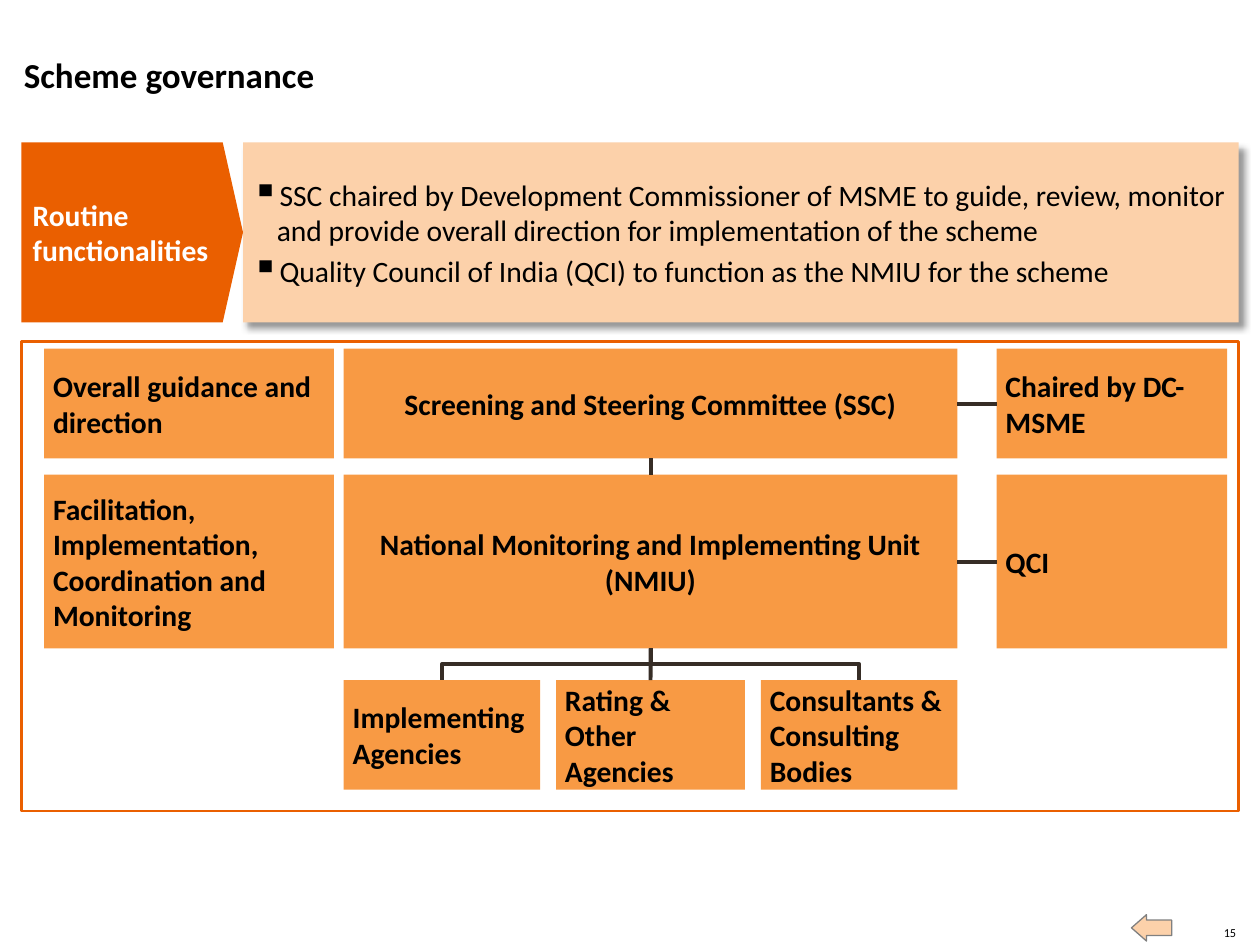
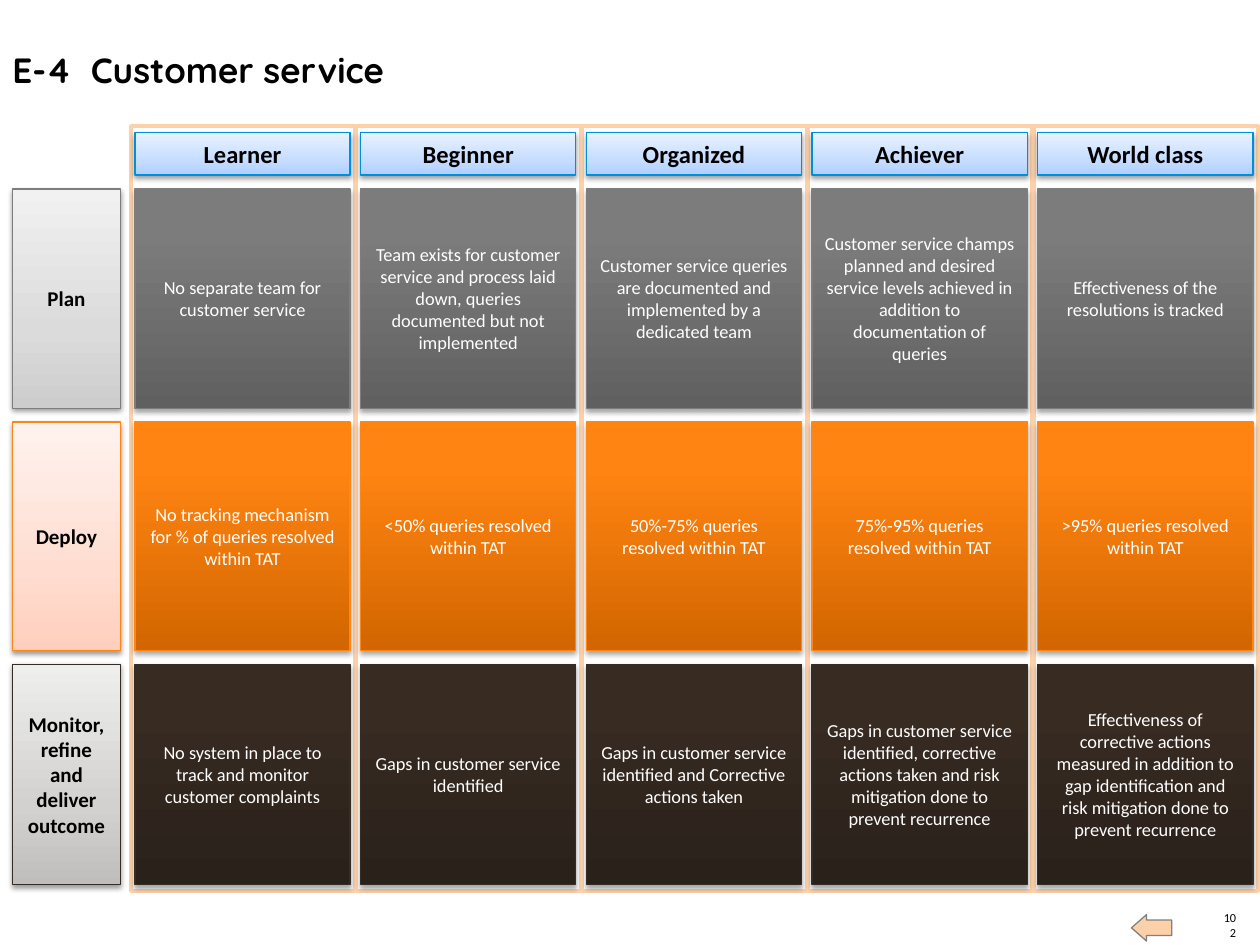
import copy

import pptx
import pptx.dml.color
import pptx.enum.shapes
import pptx.enum.text
import pptx.oxml.ns
import pptx.util
from lxml import etree

Cm = pptx.util.Cm
Pt = pptx.util.Pt
qn = pptx.oxml.ns.qn
SHAPES = pptx.enum.shapes.MSO_SHAPE
CONNECTORS = pptx.enum.shapes.MSO_CONNECTOR
ALIGN = pptx.enum.text.PP_ALIGN
ANCHOR = pptx.enum.text.MSO_ANCHOR

BLACK, WHITE = "000000", "FFFFFF"
PEACH, ORANGE, DEEP_ORANGE = "FCD1AA", "F89A44", "EA5F00"
LINK_COLOUR = "362D26"
BODY_SIZE = 16.9
TOP, LEFT, BOTTOM, RIGHT = range(4)  # connection sites of a rectangle

LABEL_SHADOW = (38, 3.1, 1.6, 90)
CELL_SHADOW = (35, 3.1, 1.8, 90)
LEVELS = ["Learner", "Beginner", "Organized", "Achiever", "World class"]
LEVEL_STOPS = [(0, "AECFFF"), (35, "C6DDFF"), (100, "E9F2FF")]
# Each stage: name, top and height in the grid, line, label stops, cell stops, cells
STAGES = [
    ("Plan", 1.27, 4.42, "7D7D7D",
     [(0, "CDCDCD"), (35, "DBDBDB"), (100, "F1F1F1")],
     [(0, "606060"), (80, "7C7C7C"), (100, "7D7D7D")],
     ["No separate team for customer service",
      "Team exists for customer service and process laid down, queries documented but not implemented",
      "Customer service queries are documented and implemented by a dedicated team",
      "Customer service champs planned and desired service levels achieved in addition to "
      "documentation of queries",
      "Effectiveness of the resolutions is tracked"]),
    ("Deploy", 5.97, 4.6, "FF8615",
     [(0, "FFCFBD"), (35, "FFDDD1"), (100, "FFF2EE")],
     [(0, "D26600"), (80, "FF8412"), (100, "FF8514")],
     ["No tracking mechanism for % of queries resolved within TAT",
      "<50% queries resolved within TAT",
      "50%-75% queries resolved within TAT",
      "75%-95% queries resolved within TAT",
      ">95% queries resolved within TAT"]),
    ("Monitor, refine and deliver outcome", 10.85, 4.44, "352C25",
     [(0, "C0BEBC"), (35, "D3D1D0"), (100, "EEEEED")],
     [(0, "2A211B"), (80, "372B22"), (100, "372B22")],
     ["No system in place to track and monitor customer complaints",
      "Gaps in customer service identified",
      "Gaps in customer service identified and Corrective actions taken",
      "Gaps in customer service identified, corrective actions taken and risk mitigation done "
      "to prevent recurrence",
      "Effectiveness of corrective actions measured in addition to gap identification and risk "
      "mitigation done to prevent recurrence"]),
]


def colour(code):
    return pptx.dml.color.RGBColor.from_string(code)


def lengths(box):
    return [Cm(value) for value in box]


def write(shape, text, size, ink=BLACK, bold=False, align=ALIGN.LEFT, anchor=ANCHOR.MIDDLE,
          margins=None, font="Calibri"):
    """Fill a shape with text; margins are left, top, right, bottom in cm."""
    frame = shape.text_frame
    frame.text = text
    frame.word_wrap = True
    frame.auto_size = pptx.enum.text.MSO_AUTO_SIZE.NONE
    frame.vertical_anchor = anchor
    if margins:
        (frame.margin_left, frame.margin_top,
         frame.margin_right, frame.margin_bottom) = lengths(margins)
    for para in frame.paragraphs:
        para.alignment = align
        for span in para.runs:
            span.font.name = font
            span.font.size = Pt(size)
            span.font.bold = bold
            span.font.color.rgb = colour(ink)


def add_box(page, box, fill, line=None, line_width=0.75, shadow=None, kind=SHAPES.RECTANGLE):
    """Draw a shape; fill is a colour or a list of stops running from bottom to top."""
    shape = page.shapes.add_shape(kind, *lengths(box))
    if isinstance(fill, str):
        shape.fill.solid()
        shape.fill.fore_color.rgb = colour(fill)
    else:
        shape.fill.gradient()
        shape.fill.gradient_angle = 90
        stop_list = shape._element.spPr.find(".//" + qn("a:gsLst"))
        while len(stop_list) < len(fill):
            stop_list.append(copy.deepcopy(stop_list[-1]))
        for stop, (percent, code) in zip(shape.fill.gradient_stops, fill):
            stop.position = percent / 100
            stop.color.rgb = colour(code)
    if line:
        shape.line.color.rgb = colour(line)
        shape.line.width = Pt(line_width)
    else:
        shape.line.fill.background()
    shape.shadow.inherit = False
    if shadow:
        add_shadow(shape, *shadow)
    return shape


def add_shadow(shape, opacity, blur, distance, angle):
    effects = shape._element.spPr.find(qn("a:effectLst"))
    outer = etree.SubElement(effects, qn("a:outerShdw"), blurRad=str(Pt(blur)),
                             dist=str(Pt(distance)), dir=str(angle * 60000), rotWithShape="0")
    ink = etree.SubElement(outer, qn("a:srgbClr"), val=BLACK)
    etree.SubElement(ink, qn("a:alpha"), val=str(opacity * 1000))


def link(page, start, start_site, end, end_site, kind=CONNECTORS.STRAIGHT):
    connector = page.shapes.add_connector(kind, 0, 0, 0, 0)
    connector.begin_connect(start, start_site)
    connector.end_connect(end, end_site)
    connector.line.color.rgb = colour(LINK_COLOUR)
    connector.line.width = Pt(2.25)
    etree.SubElement(connector._element.spPr, qn("a:effectLst"))
    return connector


def link_down(page, parent, child):
    """Join a parent to a child below it with an elbow that leaves vertically."""
    connector = link(page, parent, BOTTOM, child, TOP, CONNECTORS.ELBOW)
    to_left = connector.end_x < connector.begin_x
    centre_x = connector.left + connector.width // 2
    centre_y = connector.top + connector.height // 2
    across, down = connector.width, connector.height
    connector.width, connector.height = down, across
    connector.left, connector.top = centre_x - down // 2, centre_y - across // 2
    frame = connector._element.spPr.find(qn("a:xfrm"))
    frame.set("rot", str((90 if to_left else 270) * 60000))
    frame.set("flipH", "0" if to_left else "1")


def add_page(deck, title, title_box, number, font="Calibri"):
    """Add a title-only slide with its title, return arrow and page number."""
    page = deck.slides.add_slide(deck.slide_layouts[5])
    heading = page.shapes.title
    heading.left, heading.top, heading.width, heading.height = lengths(title_box)
    write(heading, title, 20, bold=True, margins=(0, 0, 0, 0), font=font)
    arrow = add_box(page, (22.81, 18.44, 0.81, 0.53), PEACH, "808080", kind=SHAPES.LEFT_ARROW)
    arrow.adjustments[0], arrow.adjustments[1] = 0.59, 0.57
    label = page.shapes.add_textbox(*lengths((24.61, 18.64, 0.31, 0.31)))
    write(label, number, 7, align=ALIGN.RIGHT, anchor=ANCHOR.BOTTOM, margins=(0, 0, 0, 0))
    return page


def add_functions_band(page, box, heading, points):
    left, top, width, height = box
    tag_width, tip = 4.47, 0.41
    panel = add_box(page, (left + tag_width, top, width - tag_width, height), PEACH,
                    shadow=(40, 4, 4, 45))
    write(panel, "\n".join(points), BODY_SIZE, margins=(0.18,) * 4)
    for index, para in enumerate(panel.text_frame.paragraphs):
        properties = para._p.get_or_add_pPr()
        properties.set("marL", str(Cm(0.5)))
        properties.set("indent", str(-Cm(0.5)))
        ink = etree.SubElement(properties, qn("a:buClr"))
        etree.SubElement(ink, qn("a:srgbClr"), val=BLACK)
        etree.SubElement(properties, qn("a:buSzPct"), val="125000")
        etree.SubElement(properties, qn("a:buChar"), char="▪")
        if index:
            para.space_before = Pt(3)
    tag = add_box(page, (left, top, tag_width, height), DEEP_ORANGE, kind=SHAPES.PENTAGON)
    tag.adjustments[0] = tip / height
    write(tag, heading, BODY_SIZE, WHITE, bold=True, margins=(0.23, 0, 0, 0))


def add_governance_chart(page, box):
    left, top, width, height = box
    add_box(page, box, WHITE, DEEP_ORANGE, 1.5)

    def body(text, x, y, w, h, align=ALIGN.LEFT):
        shape = add_box(page, (left + x, top + y, w, h), ORANGE)
        write(shape, text, BODY_SIZE, bold=True, align=align, margins=(0.18,) * 4)
        return shape

    middle_x, middle_width = 6.5, 12.37
    rows = [
        (0.15, 2.21, "Overall guidance and direction",
         "Screening and Steering Committee (SSC)", "Chaired by DC-MSME"),
        (2.69, 3.5, "Facilitation, Implementation, Coordination and Monitoring",
         "National Monitoring and Implementing Unit (NMIU)", "QCI"),
    ]
    units = []
    for y, h, role, unit, head in rows:
        body(role, 0.46, y, 5.84, h)
        units.append(body(unit, middle_x, y, middle_width, h, ALIGN.CENTER))
        link(page, units[-1], RIGHT, body(head, 19.66, y, 4.65, h), LEFT)
    committee, monitoring_unit = units
    link(page, committee, BOTTOM, monitoring_unit, TOP)

    agencies = [("Implementing Agencies", 3.96), ("Rating & Other Agencies", 3.81),
                ("Consultants & Consulting Bodies", 3.96)]
    gap = (middle_width - sum(w for _, w in agencies)) / (len(agencies) - 1)
    x, shapes = middle_x, []
    for text, w in agencies:
        shapes.append(body(text, x, 6.83, w, 2.21))
        x += w + gap
    first, second, third = shapes
    link_down(page, monitoring_unit, first)
    link(page, monitoring_unit, BOTTOM, second, TOP)
    link_down(page, monitoring_unit, third)


def add_maturity_grid(page, box):
    left, top, width, height = box
    label_width, first_column, pitch, inset, cell_width = 2.18, 2.39, 4.55, 0.08, 4.34
    columns = [left + first_column + pitch * index for index in range(len(LEVELS))]

    def cell(text, x, y, w, h, stops, line, shadow, size, ink=BLACK, bold=True):
        shape = add_box(page, (x, top + y, w, h), stops, line, shadow=shadow)
        write(shape, text, size, ink, bold, ALIGN.CENTER)

    for x in columns:
        add_box(page, (x, top, pitch - 0.03, height), WHITE, PEACH, 2)
    for x, level in zip(columns, LEVELS):
        cell(level, x + inset, 0.13, cell_width, 0.86, LEVEL_STOPS, "008FDC", LABEL_SHADOW, 14)
    for name, y, h, line, label_stops, cell_stops, texts in STAGES:
        cell(name, left, y, label_width, h, label_stops, line, LABEL_SHADOW, 12)
        for x, text in zip(columns, texts):
            cell(text, x + inset, y, cell_width, h, cell_stops, line, CELL_SHADOW, 10.5,
                 WHITE, False)


def add_governance_slide(deck):
    page = add_page(deck, "Scheme governance", (0.48, 1.07, 19.43, 0.86), "15")
    add_functions_band(page, (0.43, 2.87, 24.54, 3.63), "Routine functionalities", [
        "SSC chaired by Development Commissioner of MSME to guide, review, monitor and provide "
        "overall direction for implementation of the scheme",
        "Quality Council of India (QCI) to function as the NMIU for the scheme"])
    add_governance_chart(page, (0.43, 6.88, 24.54, 9.47))


def add_customer_service_slide(deck):
    page = add_page(deck, "E-4\tCustomer service", (0.25, 0.84, 21.6, 1.12), "102", "Quicksand")
    properties = page.shapes.title.text_frame.paragraphs[0]._p.get_or_add_pPr()
    tabs = etree.SubElement(properties, qn("a:tabLst"))
    etree.SubElement(tabs, qn("a:tab"), pos=str(Cm(1.58)), algn="l")
    add_maturity_grid(page, (0.25, 2.54, 25.1, 15.42))


def main():
    deck = pptx.Presentation()
    deck.slide_width, deck.slide_height = Cm(25.4), Cm(19.05)
    add_governance_slide(deck)
    add_customer_service_slide(deck)
    deck.save("out.pptx")


if __name__ == "__main__":
    main()
